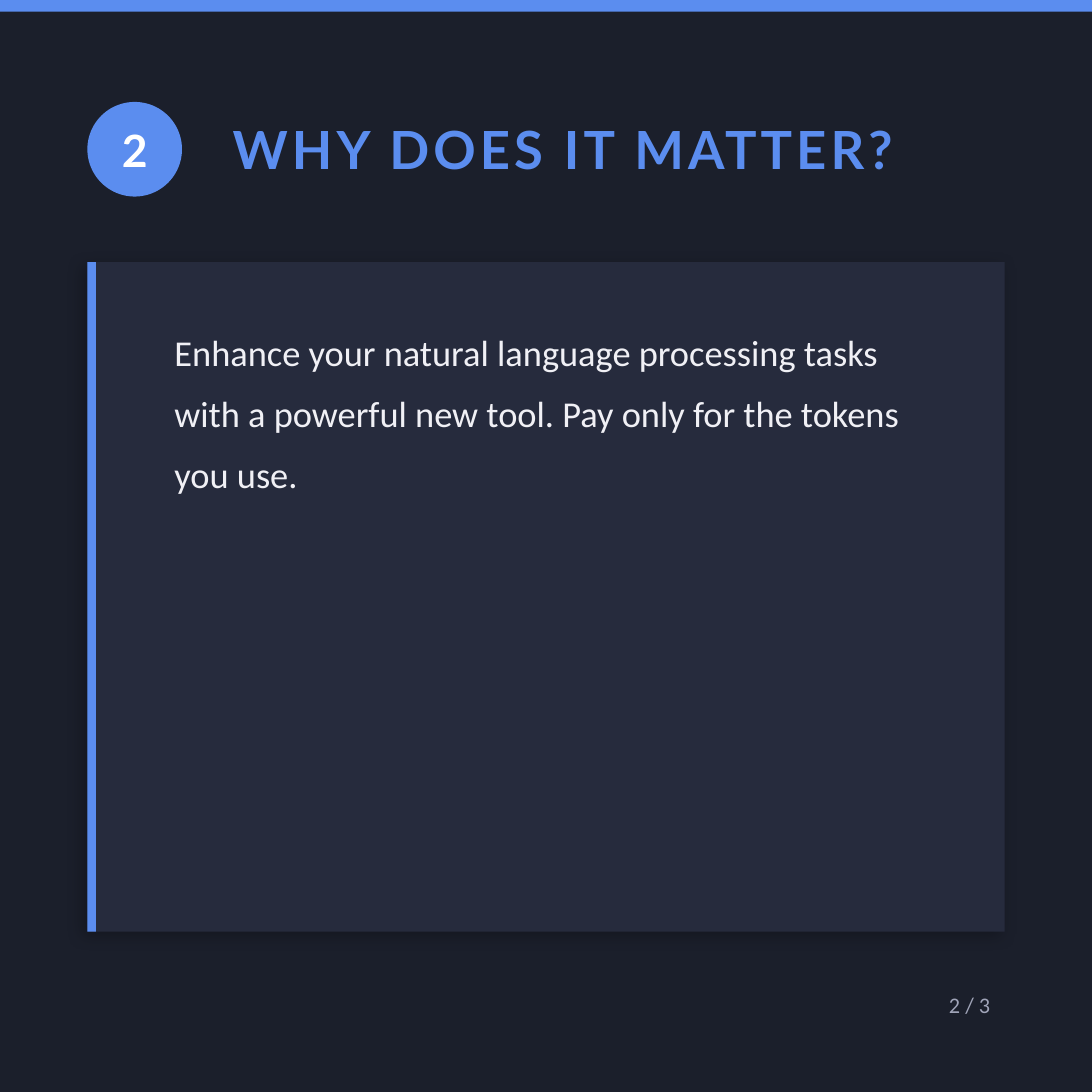
from lxml.etree import SubElement
from pptx import Presentation
from pptx.dml.color import RGBColor
from pptx.enum.shapes import MSO_SHAPE
from pptx.enum.text import MSO_ANCHOR, PP_ALIGN
from pptx.oxml.ns import qn
from pptx.util import Pt

SIDE = 540
MARGIN = 43.2
CONTENT_WIDTH = SIDE - 2 * MARGIN
BADGE_BOX = (MARGIN, 50.4, 46.8, 46.8)
CARD_TOP, CARD_HEIGHT = 129.6, 331.2

NIGHT, BLUE, CARD = "1B1F2B", "5B8DEF", "262B3D"

SHAPES = {
    "top bar": (MSO_SHAPE.RECTANGLE, (0, 0, SIDE, 5.76), BLUE),
    "badge": (MSO_SHAPE.OVAL, BADGE_BOX, BLUE),
    "card": (MSO_SHAPE.RECTANGLE, (MARGIN, CARD_TOP, CONTENT_WIDTH, CARD_HEIGHT), CARD),
    "card accent": (MSO_SHAPE.RECTANGLE, (MARGIN, CARD_TOP, 4.32, CARD_HEIGHT), BLUE),
}

BODY = (
    "Enhance your natural language processing tasks with a powerful new tool. "
    "Pay only for the tokens you use."
)
LEFT, CENTER, RIGHT = PP_ALIGN.LEFT, PP_ALIGN.CENTER, PP_ALIGN.RIGHT
TOP, MIDDLE = MSO_ANCHOR.TOP, MSO_ANCHOR.MIDDLE

TEXTS = {
    "number": ("2", BADGE_BOX, "Lato", 22, True, "FFFFFF", CENTER, MIDDLE),
    "title": ("WHY DOES IT MATTER?", (108, 51.84, 388.8, 43.2), "Lato", 26, True, BLUE, LEFT, MIDDLE),
    "body": (BODY, (79.2, 151.2, 396, 288), "Calibri", 18, False, "F0F0F5", LEFT, TOP),
    "page number": ("2 / 3", (MARGIN, 482.4, CONTENT_WIDTH, 28.8), "Calibri", 11, False, "A0A4B8", RIGHT, MIDDLE),
}


def paint(fill, color):
    fill.solid()
    fill.fore_color.rgb = RGBColor.from_string(color)


def add_block(page, kind, box, color):
    shape = page.shapes.add_shape(kind, *map(Pt, box))
    shape.shadow.inherit = False
    paint(shape.fill, color)
    shape.line.fill.background()
    return shape


def add_text(page, text, box, font, size, bold, color, align, anchor):
    frame = page.shapes.add_textbox(*map(Pt, box)).text_frame
    frame.word_wrap = True
    frame.vertical_anchor = anchor
    frame.text = text
    para = frame.paragraphs[0]
    para.alignment = align
    span = para.runs[0]
    span.font.name = font
    span.font.size = Pt(size)
    span.font.bold = bold
    paint(span.font.fill, color)
    return para


def cast_shadow(shape, color, opacity, blur, distance, angle):
    effects = shape._element.spPr.find(qn("a:effectLst"))
    shadow = SubElement(
        effects, qn("a:outerShdw"), blurRad=str(Pt(blur)), dist=str(Pt(distance)),
        dir=str(angle * 60000), algn="bl", rotWithShape="0",
    )
    tint = SubElement(shadow, qn("a:srgbClr"), val=color)
    SubElement(tint, qn("a:alpha"), val=str(opacity * 1000))


def main():
    deck = Presentation()
    deck.slide_width = deck.slide_height = Pt(SIDE)
    page = deck.slides.add_slide(deck.slide_layouts[6])
    paint(page.background.fill, NIGHT)

    blocks = {name: add_block(page, *spec) for name, spec in SHAPES.items()}
    cast_shadow(blocks["card"], "000000", 25, 8, 3, 135)

    paras = {name: add_text(page, *spec) for name, spec in TEXTS.items()}
    paras["title"].runs[0].font._element.set("spc", "200")
    paras["body"].line_spacing = 1.4

    deck.save("out.pptx")


if __name__ == "__main__":
    main()
